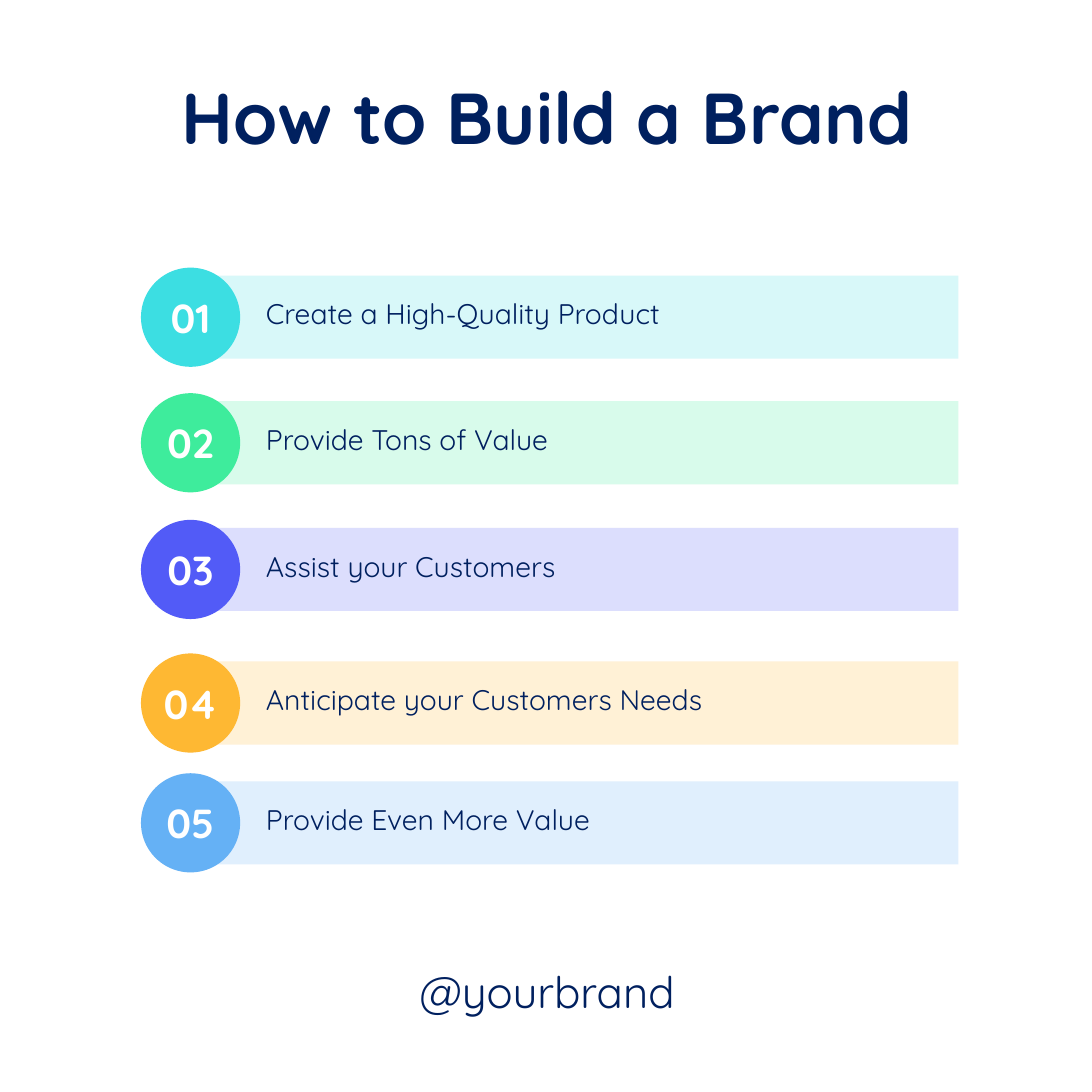
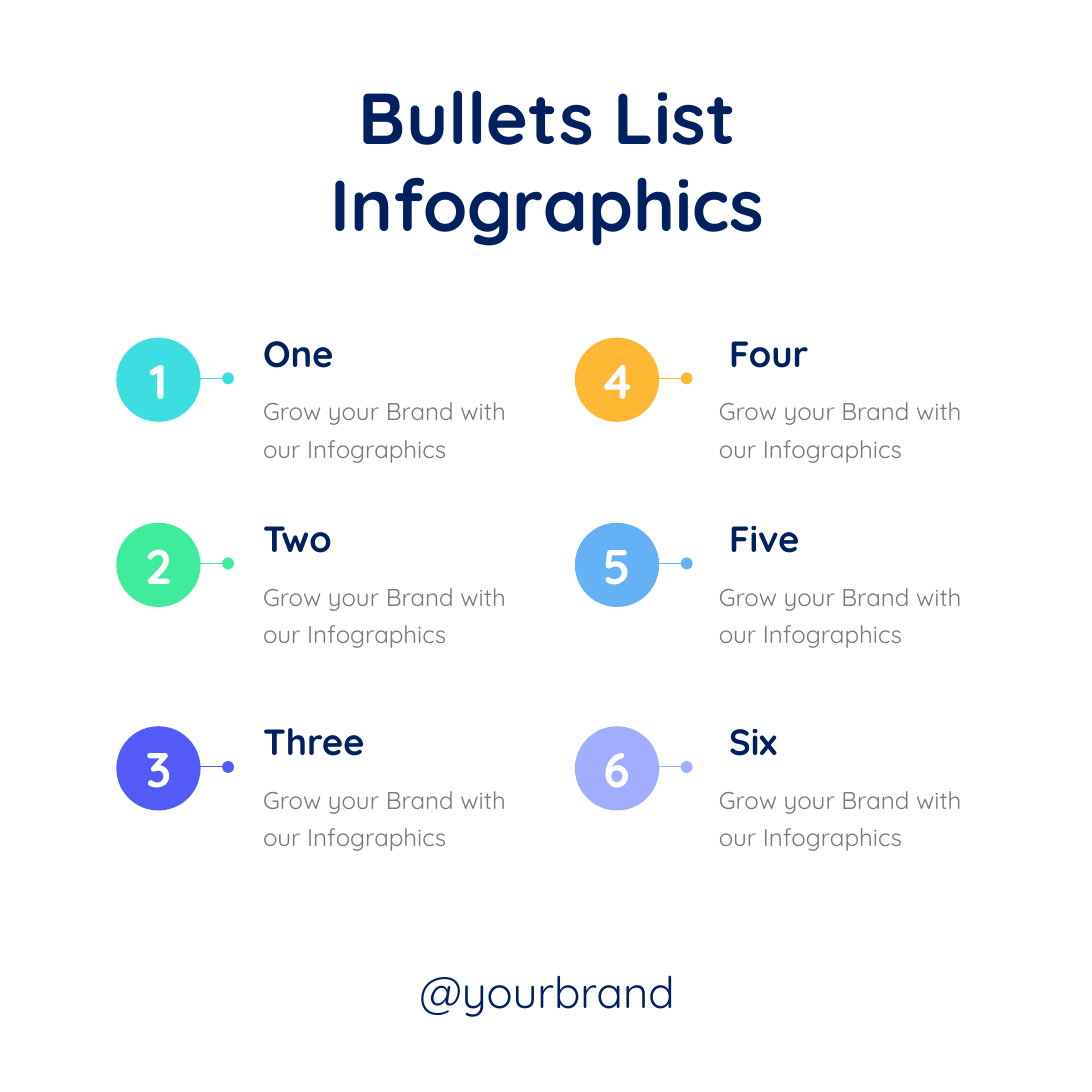
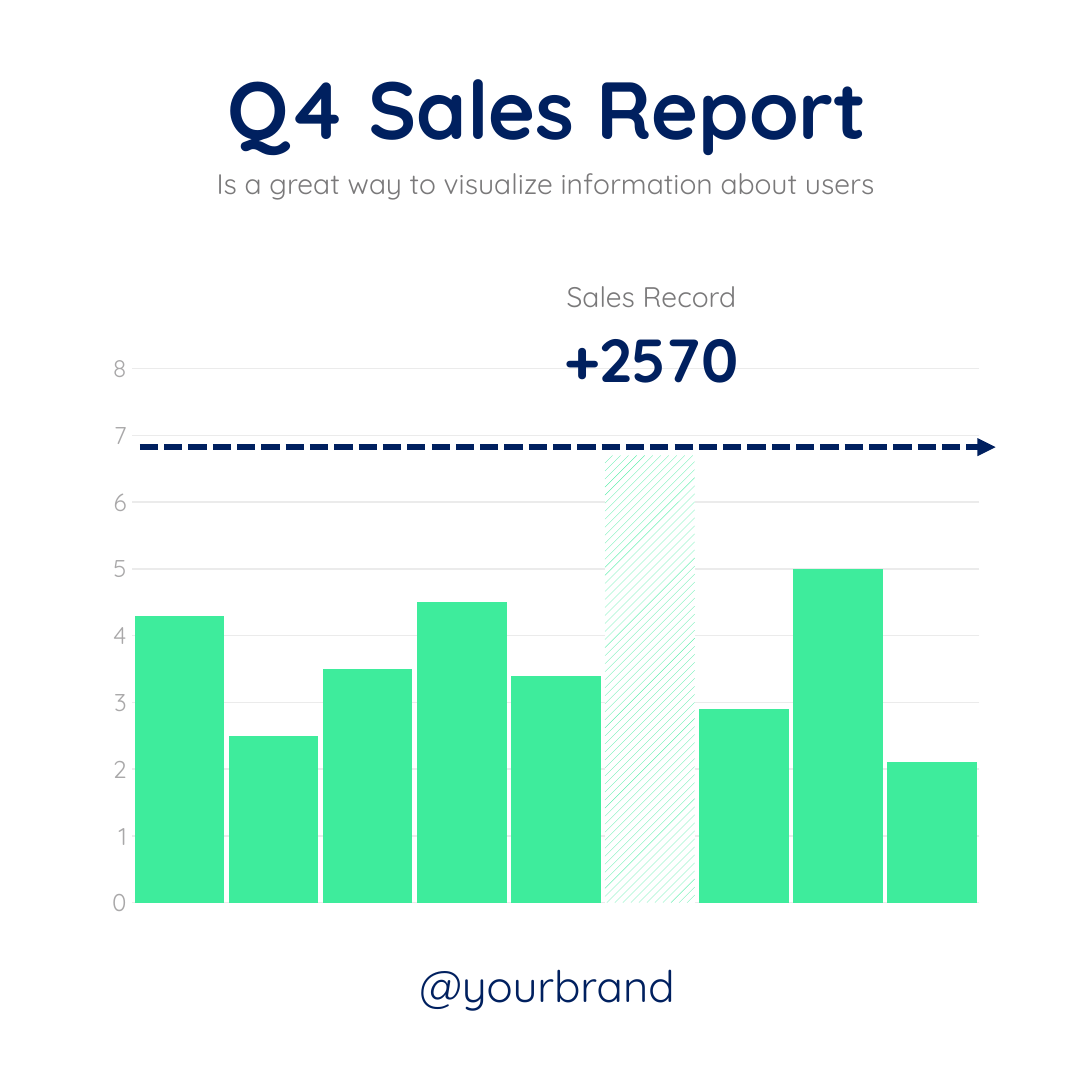
from lxml.etree import SubElement
from pptx import Presentation
from pptx.chart.data import CategoryChartData
from pptx.dml.color import RGBColor
from pptx.enum.chart import XL_CHART_TYPE, XL_TICK_MARK
from pptx.enum.dml import MSO_LINE, MSO_PATTERN
from pptx.enum.shapes import MSO_CONNECTOR, MSO_SHAPE
from pptx.enum.text import MSO_ANCHOR, MSO_AUTO_SIZE, PP_ALIGN
from pptx.oxml.ns import qn
from pptx.util import Cm, Pt

FONT = "Quicksand"
SLIDE_SIZE = 19.05
TITLE_ONLY = 5
COLORS = {
    "navy": "00205F", "gray": "7A797A", "axis": "A9A8A9", "grid": "EBEBEB",
    "white": "FFFFFF", "cyan": "3CDEE2", "green": "3EEC9C", "indigo": "525BF7",
    "orange": "FEB833", "blue": "65B1F5", "lilac": "A1ADFD",
    "pale cyan": "D8F8F9", "pale green": "D8FBEB", "pale indigo": "DCDEFD",
    "pale orange": "FFF1D6", "pale blue": "E0EFFD",
}


def rgb(name):
    return RGBColor.from_string(COLORS[name])


def style_font(font, size, color, bold=False):
    font.name = FONT
    font.size = Pt(size)
    font.bold = bold
    font.color.rgb = rgb(color)


def write_text(shape, text, *, size, color="navy", bold=False,
               align=PP_ALIGN.LEFT, anchor=MSO_ANCHOR.TOP, spacing=None,
               margins=(0.25, 0.13, 0.25, 0.13)):
    """Fill a shape with text; margins are left, top, right, bottom in cm."""
    frame = shape.text_frame
    frame.text = text
    frame.word_wrap = True
    frame.auto_size = MSO_AUTO_SIZE.NONE
    frame.vertical_anchor = anchor
    (frame.margin_left, frame.margin_top,
     frame.margin_right, frame.margin_bottom) = map(Cm, margins)
    for paragraph in frame.paragraphs:
        paragraph.alignment = align
        if spacing:
            paragraph.line_spacing = Pt(spacing)
        for run in paragraph.runs:
            style_font(run.font, size, color, bold)


def add_text(slide, text, left, top, width, height, **text_format):
    box = slide.shapes.add_textbox(Cm(left), Cm(top), Cm(width), Cm(height))
    write_text(box, text, **text_format)


def add_filled_shape(slide, kind, left, top, width, height, color):
    shape = slide.shapes.add_shape(kind, Cm(left), Cm(top), Cm(width), Cm(height))
    shape.shadow.inherit = False
    shape.fill.solid()
    shape.fill.fore_color.rgb = rgb(color)
    shape.line.fill.background()
    return shape


def add_number_circle(slide, number, left, top, diameter, color, size):
    circle = add_filled_shape(slide, MSO_SHAPE.OVAL, left, top,
                              diameter, diameter, color)
    write_text(circle, number, size=size, color="white", bold=True,
               align=PP_ALIGN.CENTER, anchor=MSO_ANCHOR.MIDDLE,
               margins=(0, 0, 0, 0))


def add_line(slide, left, right, top, color, width, end, dash=None):
    """Draw a horizontal line with a marker at its right end."""
    line = slide.shapes.add_connector(MSO_CONNECTOR.STRAIGHT, Cm(left), Cm(top),
                                      Cm(right), Cm(top))
    line.line.color.rgb = rgb(color)
    line.line.width = Pt(width)
    if dash:
        line.line.dash_style = dash
    properties = line._element.spPr
    SubElement(properties.find(qn("a:ln")), qn("a:tailEnd"), type=end)
    SubElement(properties, qn("a:effectLst"))


def add_titled_slide(presentation, title, *, top=1.14, height=1.78, size=35.6,
                     handle_top=16.71):
    """Add a slide with the shared title and the handle at the bottom."""
    slide = presentation.slides.add_slide(presentation.slide_layouts[TITLE_ONLY])
    shape = slide.shapes.title
    shape.left, shape.top = Cm(1.42), Cm(top)
    shape.width, shape.height = Cm(16.26), Cm(height)
    write_text(shape, title, size=size, bold=True, align=PP_ALIGN.CENTER)
    add_text(slide, "@yourbrand", 6.05, handle_top, 6.99, 1.17, size=21.6,
             align=PP_ALIGN.CENTER)
    return slide


def build_steps(presentation):
    slide = add_titled_slide(presentation, "How to Build a Brand")
    steps = [
        (4.67, "cyan", "Create a High-Quality Product"),
        (6.86, "green", "Provide Tons of Value"),
        (9.07, "indigo", "Assist your Customers"),
        (11.4, "orange", "Anticipate your Customers Needs"),
        (13.49, "blue", "Provide Even More Value"),
    ]
    for number, (top, color, label) in enumerate(steps, 1):
        bar = add_filled_shape(slide, MSO_SHAPE.RECTANGLE, 3.33, top + 0.14,
                               13.39, 1.45, f"pale {color}")
        write_text(bar, label, size=14, anchor=MSO_ANCHOR.MIDDLE,
                   margins=(1.31, 0, 0.25, 0.13))
        add_number_circle(slide, f"{number:02}", 2.46, top, 1.73, color, 20)


def build_bullets(presentation):
    slide = add_titled_slide(presentation, "Bullets List\nInfographics", height=3.3)
    row_tops = [5.89, 9.12, 12.67]
    # Circle left, heading left, description left, items
    columns = [
        (2.03, 4.34, 4.34, [("One", "cyan"), ("Two", "green"), ("Three", "indigo")]),
        (10.03, 12.47, 12.29, [("Four", "orange"), ("Five", "blue"), ("Six", "lilac")]),
    ]
    number = 0
    for left, heading_left, description_left, items in columns:
        for top, (heading, color) in zip(row_tops, items):
            number += 1
            add_number_circle(slide, str(number), left, top, 1.47, color, 24)
            add_line(slide, left + 1.42, left + 1.95, top + 0.71, color, 0.5, "oval")
            add_text(slide, heading, heading_left, top - 0.25, 4.75, 1.02,
                     size=18, bold=True)
            add_text(slide, "Grow your Brand with our Infographics",
                     description_left, top + 0.76, 4.9, 1.47,
                     size=12, color="gray", spacing=18.4)


def set_plot_area(chart, **fractions):
    """Fix the inner plot area, as fractions of the chart."""
    plot_area = chart._chartSpace.chart.plotArea
    layout = plot_area.find(qn("c:layout"))
    if layout is None:
        layout = SubElement(plot_area, qn("c:layout"))
        plot_area.insert(0, layout)
    manual = SubElement(layout, qn("c:manualLayout"))
    SubElement(manual, qn("c:layoutTarget"), val="inner")
    for side in "xy":
        SubElement(manual, qn(f"c:{side}Mode"), val="edge")
    for key in "xywh":
        SubElement(manual, qn(f"c:{key}"), val=str(fractions[key]))


def add_sales_chart(slide):
    data = CategoryChartData()
    data.categories = [str(number) for number in range(1, 10)]
    data.add_series("Series 1", [4.3, 2.5, 3.5, 4.5, 3.4, 6.7, 2.9, 5, 2.1])
    chart = slide.shapes.add_chart(XL_CHART_TYPE.COLUMN_STACKED, Cm(1.68), Cm(5.92),
                                   Cm(15.72), Cm(10.24), data).chart
    chart.has_legend = False
    chart.has_title = False
    style_font(chart.font, 12, "gray")
    set_plot_area(chart, x=0.04, y=0.05, w=0.94, h=0.91)

    # Axes
    chart.category_axis.visible = False
    axis = chart.value_axis
    axis.minimum_scale, axis.maximum_scale, axis.major_unit = 0, 8, 1
    axis.major_tick_mark = axis.minor_tick_mark = XL_TICK_MARK.NONE
    axis.format.line.fill.background()
    axis.major_gridlines.format.line.color.rgb = rgb("grid")
    axis.major_gridlines.format.line.width = Pt(0.75)
    style_font(axis.tick_labels.font, 12, "axis")

    # Columns, with the record hatched
    plot = chart.plots[0]
    plot.gap_width = 5
    plot.overlap = -100
    plot.vary_by_categories = False
    series = plot.series[0]
    series.format.fill.solid()
    series.format.fill.fore_color.rgb = rgb("green")
    record = series.points[5].format.fill
    record.patterned()
    record.pattern = MSO_PATTERN.WIDE_UPWARD_DIAGONAL
    record.fore_color.rgb = rgb("green")
    record.back_color.rgb = rgb("white")


def build_sales_report(presentation):
    slide = add_titled_slide(presentation, "Q4 Sales Report", top=0.89, height=1.96,
                             size=40, handle_top=16.59)
    centered_gray = dict(size=14, color="gray", align=PP_ALIGN.CENTER)
    add_text(slide, "Is a great way to visualize information about users",
             2.31, 2.77, 14.43, 0.86, **centered_gray)
    add_sales_chart(slide)
    add_line(slide, 2.44, 17.37, 7.8, "navy", 3, "triangle", MSO_LINE.SQUARE_DOT)
    # Record callout
    add_text(slide, "Sales Record", 9.14, 4.75, 4.45, 0.86, **centered_gray)
    add_text(slide, "+2570", 9.14, 5.49, 4.45, 1.55, size=30, bold=True,
             align=PP_ALIGN.CENTER)


def main():
    presentation = Presentation()
    presentation.slide_width = presentation.slide_height = Cm(SLIDE_SIZE)
    build_steps(presentation)
    build_bullets(presentation)
    build_sales_report(presentation)
    presentation.save("out.pptx")


if __name__ == "__main__":
    main()
